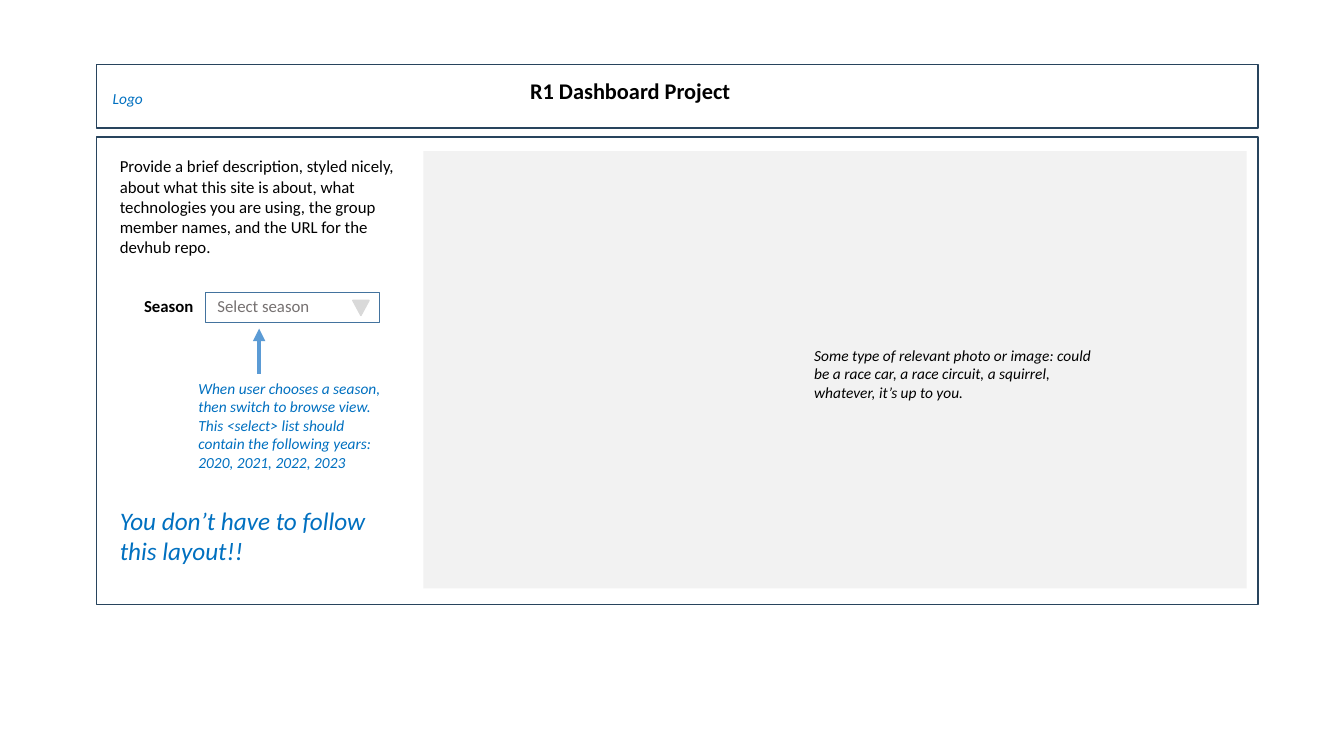
from dataclasses import dataclass

from lxml.etree import SubElement
from pptx import Presentation
from pptx.dml.color import RGBColor
from pptx.enum.shapes import MSO_CONNECTOR, MSO_SHAPE
from pptx.oxml.ns import qn
from pptx.slide import Slide
from pptx.util import Cm, Pt

FONT = "Calibri"
BLACK, BLUE, NAVY = "000000", "0070C0", "28445D"
PAGE_LEFT, PAGE_WIDTH = 2.44, 29.26
COLUMN_LEFT = 2.77


@dataclass(frozen=True)
class Panel:
    left: float
    top: float
    width: float
    height: float
    fill: str | None = None
    line: str | None = None
    preset: MSO_SHAPE = MSO_SHAPE.RECTANGLE
    rotation: float = 0


@dataclass(frozen=True)
class Label:
    wording: str
    left: float
    top: float
    width: float
    height: float
    size: float
    color: str = BLACK
    bold: bool = False
    italic: bool = False


def rgb(value: str) -> RGBColor:
    return RGBColor.from_string(value)


def draw_panel(slide: Slide, panel: Panel) -> None:
    shape = slide.shapes.add_shape(
        panel.preset, Cm(panel.left), Cm(panel.top), Cm(panel.width), Cm(panel.height)
    )
    shape.shadow.inherit = False
    shape.rotation = panel.rotation
    if panel.fill:
        shape.fill.solid()
        shape.fill.fore_color.rgb = rgb(panel.fill)
    else:
        shape.fill.background()
    if panel.line:
        shape.line.color.rgb = rgb(panel.line)
        shape.line.width = Pt(1)
    else:
        shape.line.fill.background()


def draw_label(slide: Slide, label: Label) -> None:
    box = slide.shapes.add_textbox(
        Cm(label.left), Cm(label.top), Cm(label.width), Cm(label.height)
    )
    frame = box.text_frame
    frame.word_wrap = True
    frame.text = label.wording
    font = frame.paragraphs[0].runs[0].font
    font.name, font.size = FONT, Pt(label.size)
    font.bold, font.italic = label.bold, label.italic
    font.color.rgb = rgb(label.color)


def draw_arrow_up(slide: Slide, x: float, bottom: float, top: float, color: str) -> None:
    arrow = slide.shapes.add_connector(
        MSO_CONNECTOR.STRAIGHT, Cm(x), Cm(bottom), Cm(x), Cm(top)
    )
    arrow.line.color.rgb = rgb(color)
    arrow.line.width = Pt(3)
    SubElement(arrow.line._get_or_add_ln(), qn("a:tailEnd"), type="triangle")
    SubElement(arrow._element.spPr, qn("a:effectLst"))


# Page frame, photo area and season drop-down, from back to front
PANELS = [
    Panel(PAGE_LEFT, 1.63, PAGE_WIDTH, 1.6, line=NAVY),
    Panel(10.67, 3.81, 20.75, 11.02, fill="F2F2F2"),
    Panel(PAGE_LEFT, 3.45, PAGE_WIDTH, 11.79, line=NAVY),
    Panel(5.18, 7.37, 4.39, 0.76, fill="FFFFFF", line="43739E"),
    Panel(8.89, 7.57, 0.41, 0.38, "D9D9D9", "D9D9D9",
          MSO_SHAPE.ISOSCELES_TRIANGLE, 180),
]

LABELS = [
    # Header
    Label("R1 Dashboard Project", 13.11, 1.83, 6.71, 0.94, 16, bold=True),
    Label("Logo", 2.59, 2.13, 3.45, 0.74, 11, BLUE, italic=True),
    # Photo area
    Label("Some type of relevant photo or image: could be a race car, a race circuit, "
          "a squirrel, whatever, it’s up to you.",
          20.27, 8.59, 7.52, 1.68, 11, italic=True),
    # Left column
    Label("Provide a brief description, styled nicely, about what this site is about, "
          "what technologies you are using, the group member names, and the URL for "
          "the devhub repo.",
          COLUMN_LEFT, 3.81, 7.52, 2.82, 12),
    Label("Season", 3.38, 7.34, 3.86, 0.76, 12, bold=True),
    Label("Select season", 5.23, 7.34, 3.3, 0.76, 12, "767171"),
    Label("When user chooses a season, then switch to browse view. This <select> list "
          "should contain the following years: 2020, 2021, 2022, 2023",
          4.75, 9.42, 5.26, 2.62, 11, BLUE, italic=True),
    Label("You don’t have to follow this layout!!",
          COLUMN_LEFT, 12.6, 7.24, 1.8, 18, BLUE, italic=True),
]


def main() -> None:
    deck = Presentation()
    deck.slide_width, deck.slide_height = Cm(33.87), Cm(19.05)
    slide = deck.slides.add_slide(deck.slide_layouts[6])
    for panel in PANELS:
        draw_panel(slide, panel)
    for label in LABELS:
        draw_label(slide, label)
    # Pointer from the hint to the drop-down
    draw_arrow_up(slide, 6.53, 9.42, 8.28, "5B9BD5")
    deck.save("out.pptx")


if __name__ == "__main__":
    main()
